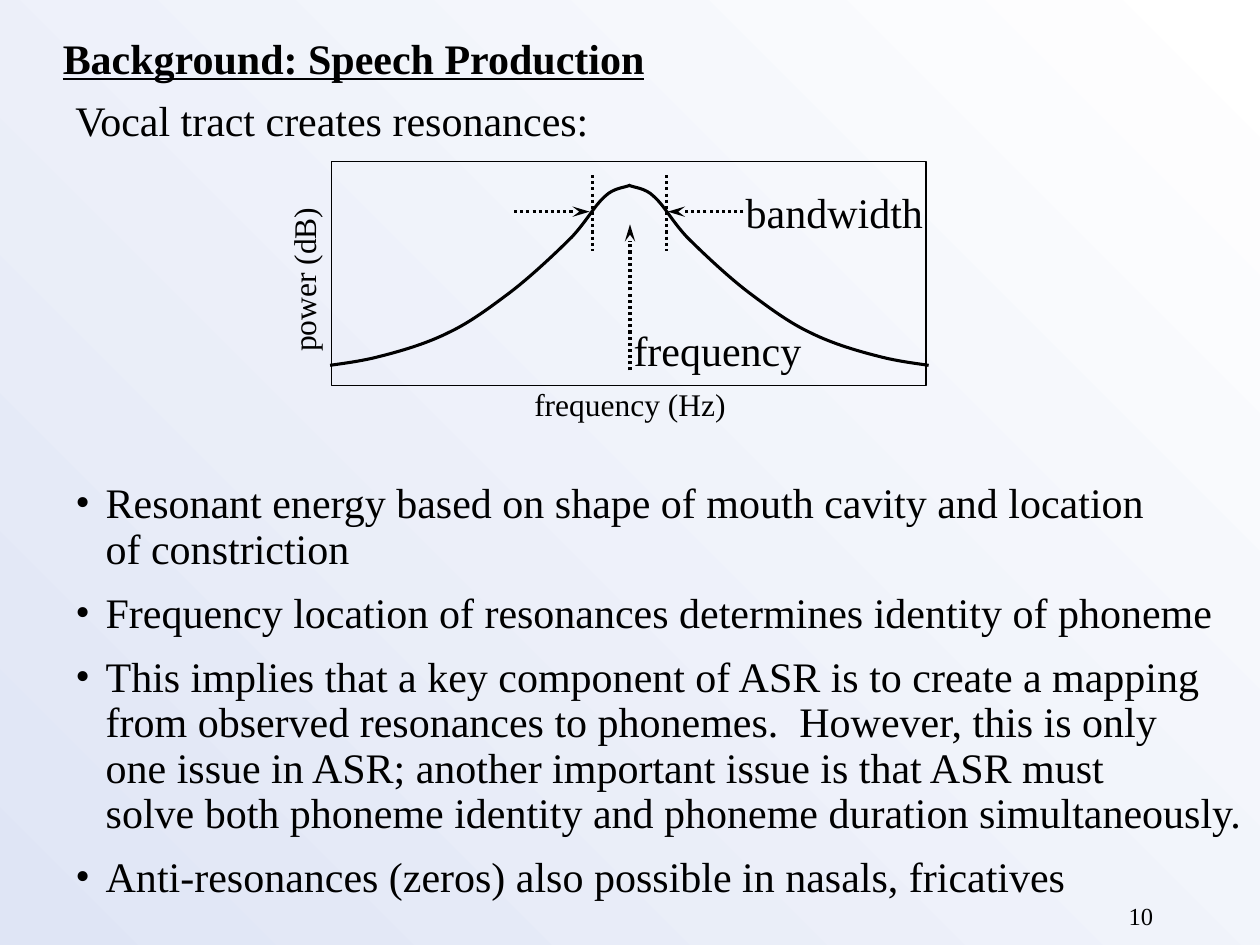
from dataclasses import dataclass

from lxml import etree
from pptx import Presentation
from pptx.dml.color import RGBColor
from pptx.enum.dml import MSO_LINE
from pptx.enum.shapes import MSO_CONNECTOR, MSO_SHAPE
from pptx.enum.text import PP_ALIGN
from pptx.oxml.ns import qn
from pptx.util import Inches, Pt

LEFT, CENTER, RIGHT = PP_ALIGN.LEFT, PP_ALIGN.CENTER, PP_ALIGN.RIGHT
STRAIGHT = MSO_CONNECTOR.STRAIGHT
RECTANGLE = MSO_SHAPE.RECTANGLE
DOTTED = MSO_LINE.ROUND_DOT


@dataclass(frozen=True)
class Theme:
    font: str = "Times New Roman"
    ink: RGBColor = RGBColor(0, 0, 0)
    light: RGBColor = RGBColor(255, 255, 255)
    shade: RGBColor = RGBColor(0xDF, 0xE5, 0xF5)
    body: int = 24
    axis: int = 18
    number: int = 14
    frame_line: float = 0.75
    curve_line: float = 1.75


THEME = Theme()

BULLETS = [
    "Resonant energy based on shape of mouth cavity and location\vof constriction",
    "Frequency location of resonances determines identity of phoneme",
    "This implies that a key component of ASR is to create a mapping\v"
    "from observed resonances to phonemes.  However, this is only\v"
    "one issue in ASR; another important issue is that ASR must\v"
    "solve both phoneme identity and phoneme duration simultaneously.",
    "Anti-resonances (zeros) also possible in nasals, fricatives",
]

RISING_CURVE = [
    (2.62, 2.9),
    (2.68, 2.89), (2.86, 2.87), (3.01, 2.83),
    (3.17, 2.79), (3.38, 2.73), (3.56, 2.64),
    (3.73, 2.56), (3.89, 2.44), (4.05, 2.32),
    (4.22, 2.19), (4.42, 2.0), (4.54, 1.88),
    (4.66, 1.75), (4.72, 1.63), (4.8, 1.56),
    (4.87, 1.49), (4.96, 1.49), (5.0, 1.47),
]
MIRROR_SUM = 9.99


def set_background(slide):
    fill = slide.background.fill
    fill.gradient()
    fill.gradient_angle = 225
    for stop, position, color in zip(
        fill.gradient_stops, (0, 1), (THEME.light, THEME.shade)
    ):
        stop.position = position
        stop.color.rgb = color


def style_line(line, width):
    line.color.rgb = THEME.ink
    line.width = Pt(width)


def add_text(slide, box, paragraphs, size=THEME.body, align=LEFT):
    shape = slide.shapes.add_textbox(*map(Inches, box))
    frame = shape.text_frame
    frame.word_wrap = True
    for index, text in enumerate(paragraphs):
        paragraph = frame.add_paragraph() if index else frame.paragraphs[0]
        paragraph.text = text
        paragraph.alignment = align
        paragraph.font.name = THEME.font
        paragraph.font.size = Pt(size)
        paragraph.font.color.rgb = THEME.ink
    return shape


def add_bullets(slide, box, items):
    shape = add_text(slide, box, items)
    for paragraph in shape.text_frame.paragraphs:
        paragraph.line_spacing = 0.9
        paragraph.space_after = Pt(10.8)
        properties = paragraph._p.get_or_add_pPr()
        properties.set("marL", str(Inches(0.24)))
        properties.set("indent", str(Inches(-0.24)))
        defaults = properties.find(qn("a:defRPr"))
        defaults.addprevious(etree.Element(qn("a:buFont"), typeface=THEME.font))
        defaults.addprevious(etree.Element(qn("a:buChar"), char="•"))


def add_frame(slide, box):
    shape = slide.shapes.add_shape(RECTANGLE, *map(Inches, box))
    shape.shadow.inherit = False
    shape.fill.background()
    style_line(shape.line, THEME.frame_line)


def add_curve(slide, points):
    vertices = [(Inches(x), Inches(y)) for x, y in points]
    builder = slide.shapes.build_freeform(*vertices[0])
    builder.add_line_segments(vertices[1:], close=False)
    shape = builder.convert_to_shape()
    shape.shadow.inherit = False
    shape.fill.background()
    style_line(shape.line, THEME.curve_line)

    outline = next(shape._element.iter(qn("a:path")))
    segments = outline.findall(qn("a:lnTo"))
    for start in range(0, len(segments), 3):
        bezier = etree.SubElement(outline, qn("a:cubicBezTo"))
        for segment in segments[start:start + 3]:
            bezier.append(segment[0])
            outline.remove(segment)


def add_dotted_line(slide, start, end, arrow=False):
    connector = slide.shapes.add_connector(STRAIGHT, *map(Inches, start + end))
    style_line(connector.line, THEME.curve_line)
    connector.line.dash_style = DOTTED
    if arrow:
        line = connector.line._get_or_add_ln()
        etree.SubElement(line, qn("a:tailEnd"), type="stealth", w="med", len="lg")
    etree.SubElement(connector._element.spPr, qn("a:effectLst"))


def add_resonance_diagram(slide):
    add_frame(slide, (2.63, 1.28, 4.72, 1.78))
    add_curve(slide, RISING_CURVE)
    add_curve(slide, [(MIRROR_SUM - x, y) for x, y in RISING_CURVE])

    add_text(slide, (4.14, 3.01, 1.72, 0.4), ["frequency (Hz)"], THEME.axis, CENTER)
    power = add_text(slide, (1.61, 2.02, 1.6, 0.4), ["power (dB)"], THEME.axis, CENTER)
    power.rotation = 270
    add_text(slide, (4.93, 2.53, 1.6, 0.5), ["frequency"])
    add_text(slide, (5.82, 1.43, 1.7, 0.5), ["bandwidth"])

    add_dotted_line(slide, (5, 2.94), (5, 1.78), arrow=True)
    for edge, tip, outer in ((4.7, 4.68, 4.08), (5.29, 5.3, 5.9)):
        add_dotted_line(slide, (outer, 1.68), (tip, 1.68), arrow=True)
        add_dotted_line(slide, (edge, 1.39), (edge, 1.99))


def main():
    presentation = Presentation()
    presentation.slide_width = Inches(10)
    presentation.slide_height = Inches(7.5)
    slide = presentation.slides.add_slide(presentation.slide_layouts[6])
    set_background(slide)

    title = add_text(slide, (0.4, 0.21, 5, 0.5), ["Background: Speech Production"])
    title_font = title.text_frame.paragraphs[0].font
    title_font.bold = True
    title_font.underline = True

    intro = add_text(slide, (0.5, 0.75, 5, 0.5), ["Vocal tract creates resonances:"])
    intro.text_frame.paragraphs[0].line_spacing = 0.9
    add_resonance_diagram(slide)
    add_bullets(slide, (0.5, 3.78, 9.48, 3.44), BULLETS)
    add_text(slide, (7.17, 7.1, 2.08, 0.23), ["10"], THEME.number, RIGHT)

    presentation.save("out.pptx")


if __name__ == "__main__":
    main()
